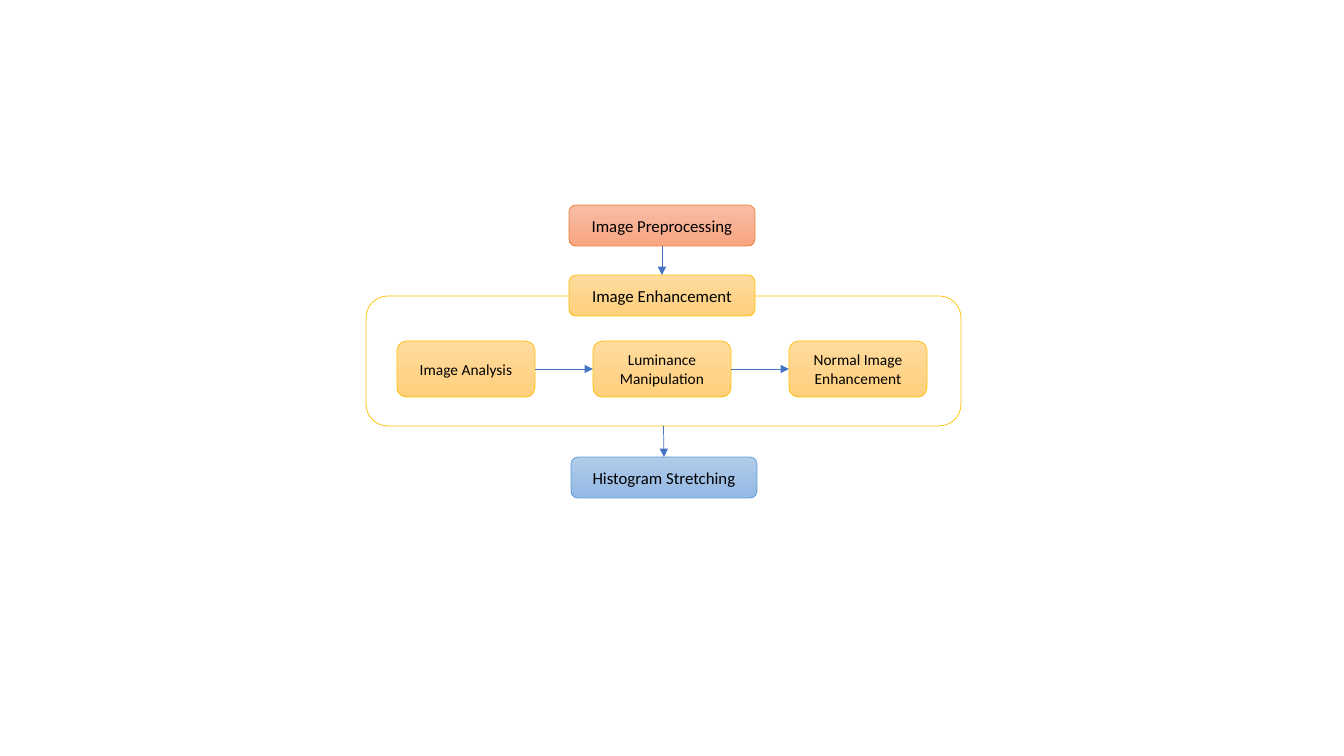
from dataclasses import dataclass

from lxml import etree
from pptx import Presentation
from pptx.dml.color import RGBColor
from pptx.enum.shapes import MSO_CONNECTOR, MSO_SHAPE
from pptx.enum.text import MSO_ANCHOR, PP_ALIGN
from pptx.oxml.ns import qn
from pptx.shapes.autoshape import Shape
from pptx.slide import Slide
from pptx.util import Pt

ROUNDED = MSO_SHAPE.ROUNDED_RECTANGLE
STRAIGHT = MSO_CONNECTOR.STRAIGHT
MIDDLE = MSO_ANCHOR.MIDDLE
CENTER = PP_ALIGN.CENTER
TOP, LEFT, BOTTOM, RIGHT = range(4)  # connection sites of a rectangle

SLIDE_W, SLIDE_H = 1344, 756
EMU_PER_PX = 12192000 / SLIDE_W
FONT = "Calibri"
LINE_W = Pt(0.5)

COLORS = {
    "text": "000000",
    "arrow": "4472C4",
    "orange_line": "ED7D31", "orange_top": "F7BDA5", "orange_bottom": "F8A582",
    "gold_line": "FFC000", "gold_top": "FFDB9E", "gold_bottom": "FFD07C",
    "blue_line": "5B9BD5", "blue_top": "B1CBE9", "blue_bottom": "93B9E4",
}


@dataclass
class Box:
    text: str
    x: int
    y: int
    w: int
    h: int
    theme: str
    size: int = 12


def px(n: int) -> int:
    return round(n * EMU_PER_PX)


def rgb(name: str) -> RGBColor:
    return RGBColor.from_string(COLORS[name])


def add_box(s: Slide, box: Box) -> Shape:
    """Draw a rounded box; one without text is an unfilled frame."""
    sp = s.shapes.add_shape(ROUNDED, px(box.x), px(box.y), px(box.w), px(box.h))
    sp.shadow.inherit = False
    sp.line.color.rgb = rgb(f"{box.theme}_line")
    sp.line.width = LINE_W
    if not box.text:
        sp.fill.background()
        return sp
    sp.fill.gradient()
    sp.fill.gradient_angle = 270
    for stop, end in zip(sp.fill.gradient_stops, ("top", "bottom")):
        stop.color.rgb = rgb(f"{box.theme}_{end}")
    tf = sp.text_frame
    tf.word_wrap = True
    tf.vertical_anchor = MIDDLE
    p = tf.paragraphs[0]
    p.alignment = CENTER
    r = p.add_run()
    r.text = box.text
    r.font.name = FONT
    r.font.size = Pt(box.size)
    r.font.color.rgb = rgb("text")
    return sp


def add_arrow(s: Slide, start: Shape, start_site: int, end: Shape, end_site: int) -> None:
    c = s.shapes.add_connector(STRAIGHT, 0, 0, 0, 0)
    c.begin_connect(start, start_site)
    c.end_connect(end, end_site)
    c.line.color.rgb = rgb("arrow")
    c.line.width = LINE_W
    props = c.element.spPr
    etree.SubElement(props.find(qn("a:ln")), qn("a:tailEnd"), type="triangle")
    etree.SubElement(props, qn("a:effectLst"))


prs = Presentation()
prs.slide_width, prs.slide_height = px(SLIDE_W), px(SLIDE_H)
s = prs.slides.add_slide(prs.slide_layouts[6])

# Main stages, with the frame behind the enhancement heading
STAGE_W, STAGE_H = 186, 41
preprocessing = add_box(s, Box("Image Preprocessing", 569, 205, STAGE_W, STAGE_H, "orange"))
frame = add_box(s, Box("", 366, 296, 595, 130, "gold"))
enhancement = add_box(s, Box("Image Enhancement", 569, 275, STAGE_W, STAGE_H, "gold"))
stretching = add_box(s, Box("Histogram Stretching", 571, 457, STAGE_W, STAGE_H, "blue"))

# Enhancement steps
STEP_X, STEP_PITCH = 397, 196
STEPS = ["Image Analysis", "Luminance Manipulation", "Normal Image Enhancement"]
steps = [
    add_box(s, Box(text, STEP_X + i * STEP_PITCH, 341, 138, 56, "gold", 11))
    for i, text in enumerate(STEPS)
]

# Flow arrows
add_arrow(s, preprocessing, BOTTOM, enhancement, TOP)
add_arrow(s, frame, BOTTOM, stretching, TOP)
for before, after in zip(steps, steps[1:]):
    add_arrow(s, before, RIGHT, after, LEFT)

prs.save("out.pptx")
